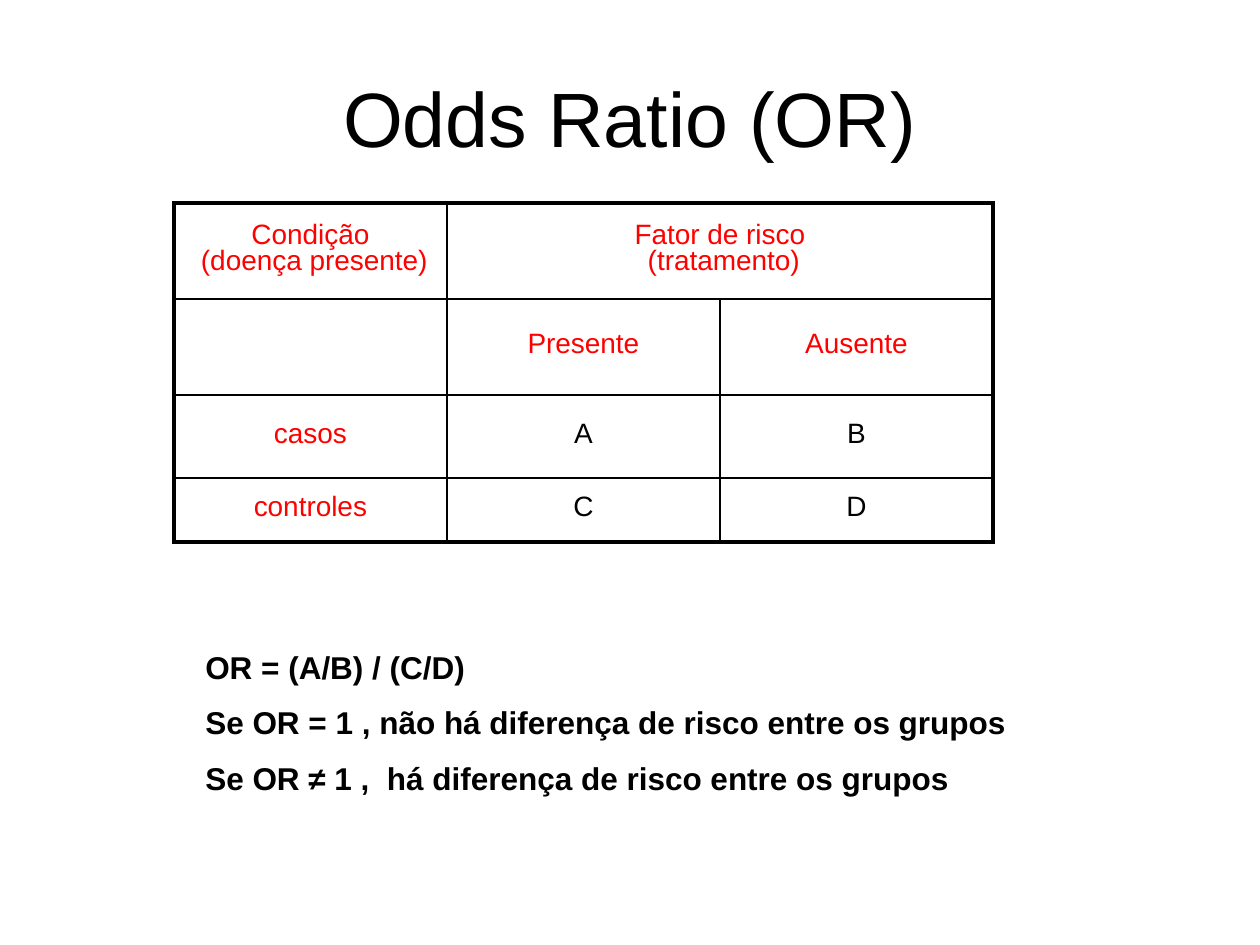
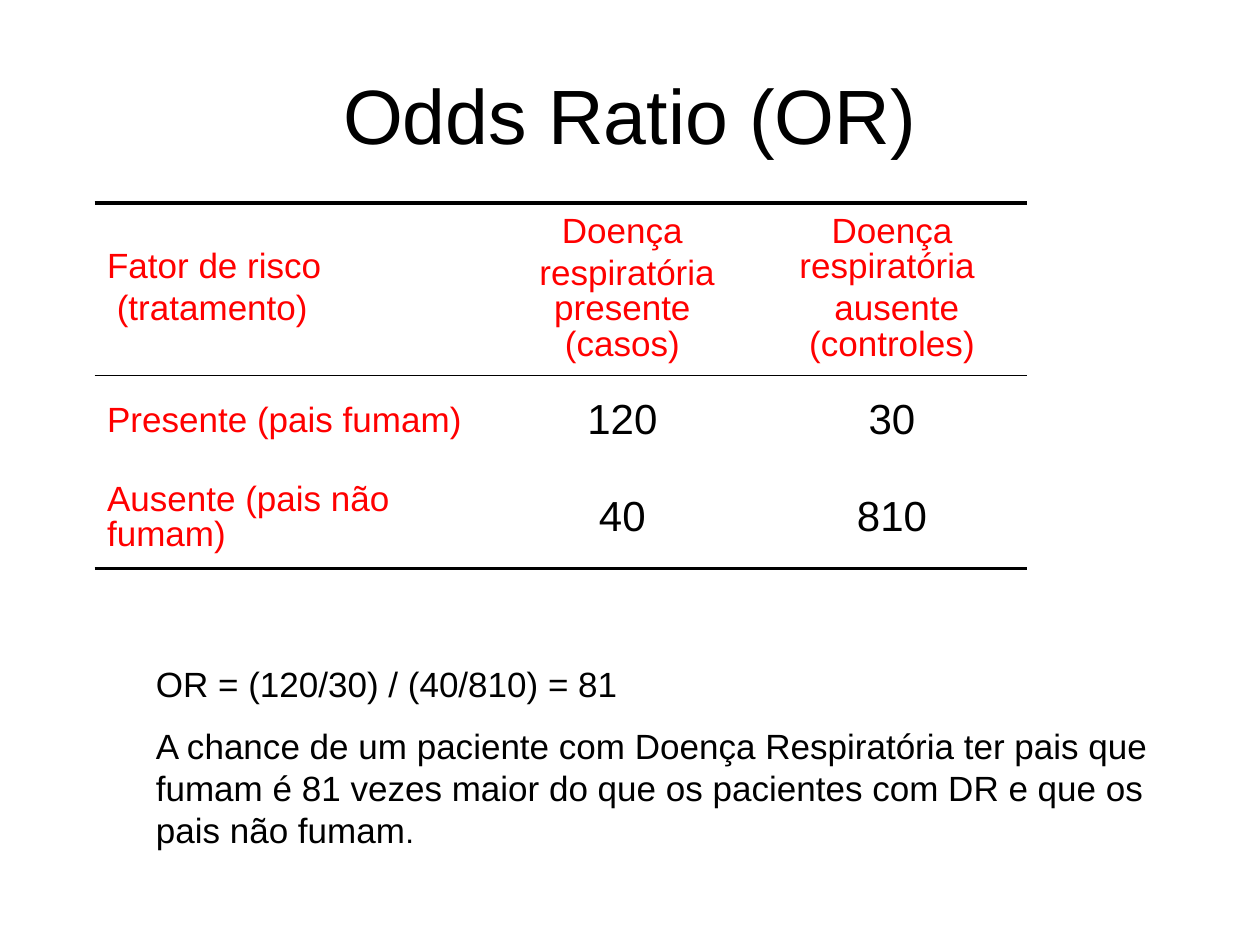
"""Build two slides that explain the odds ratio, first in general and then by example."""
from lxml import etree
from pptx import Presentation
from pptx import util as u
from pptx.dml.color import RGBColor
from pptx.enum import text as t
from pptx.oxml import ns

COLORS = {"ink": "000000", "label": "FF0000"}
FONT = "Arial"
LINE_HEIGHT = 1.15
CENTER, LEFT = t.PP_ALIGN.CENTER, t.PP_ALIGN.LEFT
THICK, THIN, NONE = 2.25, 1, 0


def format_run(run, size, color, bold):
    run.font.name, run.font.size, run.font.bold = FONT, u.Pt(size), bold
    run.font.color.rgb = RGBColor.from_string(COLORS[color])


def write(frame, content, size=20, color="ink", bold=False, align=LEFT,
          spacing=1.0, before=0.0, ending="", ending_size=18):
    frame.word_wrap = True
    lines = content.split("\n")
    for index, line in enumerate(lines):
        paragraph = frame.paragraphs[0] if index == 0 else frame.add_paragraph()
        paragraph.alignment = align
        paragraph.line_spacing = spacing
        paragraph.space_before = u.Pt(round(before * LINE_HEIGHT * spacing * size, 1))
        run = paragraph.add_run()
        run.text = line
        format_run(run, size, color, bold)
    if ending:
        run = paragraph.add_run()
        run.text = ending
        format_run(run, ending_size, color, bold)


def add_titled_slide(deck, heading, top):
    slide = deck.slides.add_slide(deck.slide_layouts[5])
    title = slide.shapes.title
    title.left, title.top, title.width, title.height = map(u.Pt, (36, top, 648, 90))
    title.text_frame.auto_size = t.MSO_AUTO_SIZE.NONE
    title.text_frame.vertical_anchor = t.MSO_ANCHOR.MIDDLE
    write(title.text_frame, heading, size=44, align=CENTER)
    return slide


def set_borders(cell, left, right, top, bottom):
    properties = cell._tc.get_or_add_tcPr()
    for side, width in zip("LRTB", (left, right, top, bottom)):
        edge = etree.SubElement(properties, ns.qn(f"a:ln{side}"), w=str(u.Pt(width)))
        if width:
            fill = etree.SubElement(edge, ns.qn("a:solidFill"))
            etree.SubElement(fill, ns.qn("a:srgbClr"), val=COLORS["ink"])
        else:
            etree.SubElement(edge, ns.qn("a:noFill"))


def add_risk_table(slide, left, top, widths, heights, rows, rules, dividers,
                   label_rows, label_size, value_size, spacing, label_align, merged=()):
    table = slide.shapes.add_table(len(heights), len(widths), u.Pt(left), u.Pt(top),
                                   u.Pt(sum(widths)), u.Pt(sum(heights))).table
    table.first_row = table.horz_banding = False
    for column, width in zip(table.columns, widths):
        column.width = u.Pt(width)
    for row, height in zip(table.rows, heights):
        row.height = u.Pt(height)
    for first, last in merged:
        table.cell(*first).merge(table.cell(*last))
    for r, row in enumerate(rows):
        for c, content in enumerate(row):
            cell = table.cell(r, c)
            set_borders(cell, NONE if cell.is_spanned else dividers[c],
                        dividers[c + cell.span_width], rules[r], rules[r + 1])
            cell.fill.background()
            cell.vertical_anchor = t.MSO_ANCHOR.MIDDLE
            if content:
                is_label = r < label_rows or c == 0
                write(cell.text_frame, content, spacing=spacing, before=0.2,
                      size=label_size if is_label else value_size,
                      color="label" if is_label else "ink",
                      align=label_align if c == 0 else CENTER)


def add_conclusion(slide, left, top, width, height, content, **style):
    box = slide.shapes.add_textbox(*map(u.Pt, (left, top, width, height)))
    write(box.text_frame, content, before=0.5, **style)


def main():
    deck = Presentation()
    deck.slide_width, deck.slide_height = u.Pt(720), u.Pt(540)

    definition = add_titled_slide(deck, "Odds Ratio (OR)", 21.6)
    add_risk_table(
        definition, 99.4, 116, [156] * 3, [54.9, 54.9, 47.4, 36.6],
        [["Condição\n (doença presente)", "Fator de risco\n (tratamento)", ""],
         ["", "Presente", "Ausente"],
         ["casos", "A", "B"],
         ["controles", "C", "D"]],
        rules=[THICK, THIN, THIN, THIN, THICK], dividers=[THICK, THIN, THIN, THICK],
        label_rows=2, label_size=16, value_size=16, spacing=0.7, label_align=CENTER,
        merged=[((0, 1), (0, 2))])
    add_conclusion(
        definition, 110.2, 366.5, 481.7, 94.3,
        "OR = (A/B) / (C/D)\n"
        "Se OR = 1 , não há diferença de risco entre os grupos\n"
        "Se OR ≠ 1 ,  há diferença de risco entre os grupos",
        size=18, bold=True)

    example = add_titled_slide(deck, "Odds Ratio (OR)", 20.2)
    add_risk_table(
        example, 54, 116, [224.6, 154.1, 154.1], [98.6, 53.3, 56.9],
        [["Fator de risco\n (tratamento)", "Doença\n respiratória presente (casos)",
          "Doença respiratória \n ausente (controles)"],
         ["Presente (pais fumam)", "120", "30"],
         ["Ausente (pais não fumam)", "40", "810"]],
        rules=[THICK, THIN, NONE, THICK], dividers=[NONE] * 4,
        label_rows=1, label_size=20, value_size=24, spacing=0.9, label_align=LEFT)
    add_conclusion(
        example, 82, 375, 584, 115,
        "OR = (120/30) / (40/810) = 81\n"
        "A chance de um paciente com Doença Respiratória ter pais que fumam é 81 vezes "
        "maior do que os pacientes com DR e que os pais não fumam",
        ending=".")

    deck.save("out.pptx")


if __name__ == "__main__":
    main()
